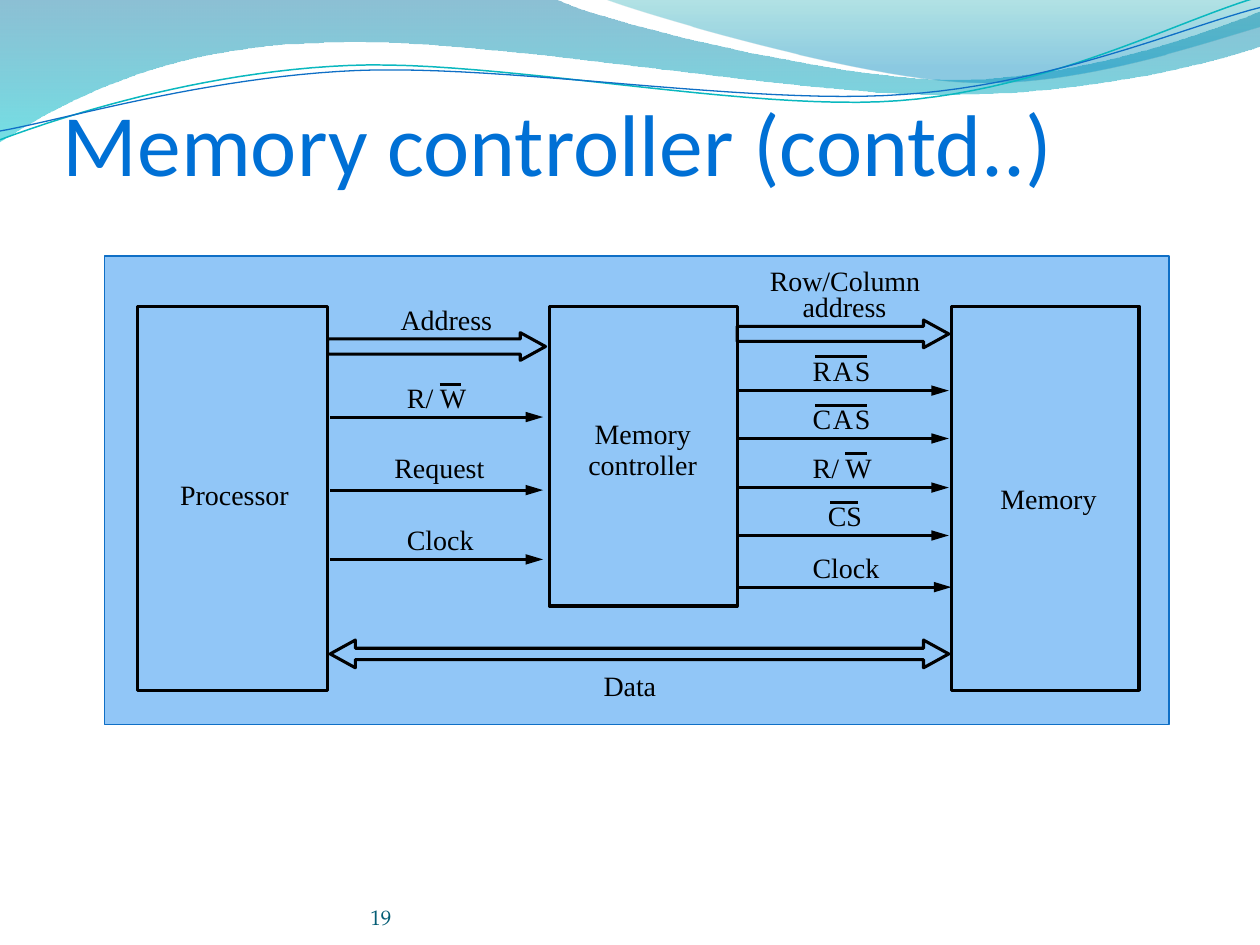
from lxml.etree import SubElement
from pptx import Presentation
from pptx.dml.color import RGBColor
from pptx.enum.shapes import MSO_CONNECTOR, MSO_SHAPE
from pptx.enum.text import MSO_ANCHOR
from pptx.oxml.ns import qn
from pptx.util import Inches, Pt

BLACK = RGBColor(0x00, 0x00, 0x00)
TITLE_BLUE = RGBColor(0x00, 0x70, 0xD5)
NUMBER_BLUE = RGBColor(0x04, 0x5D, 0x75)
PANEL_BLUE = RGBColor(0x91, 0xC6, 0xF7)
EDGE_BLUE = RGBColor(0x0F, 0x6F, 0xC6)
WAVE_TEAL = RGBColor(0x0A, 0xB8, 0xBF)
STROKE = 1.75
LABEL_HEIGHT = 0.27

# Filled waves: start, segments (2 numbers = line, 6 = cubic curve),
# gradient stops (position, colour, opacity %)
WAVES = [
    ((0, 0),
     [(4.4, -0.01), (4.76, 0.17, 6.64, 0.63, 7.58, 0.63),
      (8.53, 0.63, 9.58, 0.26, 10, 0.09), (10.01, 0.36),
      (9.83, 0.44, 8.7, 0.76, 7.46, 0.75), (6.22, 0.75, 3.82, 0.28, 2.57, 0.34),
      (1.29, 0.36, 0.46, 0.83, -0.01, 1.13)],
     [(0, RGBColor(0x00, 0x74, 0xA1), 45), (1, RGBColor(0x00, 0xC6, 0xCF), 55)]),
    ((4.79, -0.01),
     [(5.09, 0.11, 6.82, 0.62, 7.69, 0.65), (8.56, 0.69, 9.61, 0.32, 10, 0.21),
      (10, 0)],
     [(0, RGBColor(0x00, 0xA1, 0xA9), 30), (0.8, RGBColor(0x00, 0x8B, 0xBF), 45)]),
]
# Thin wave lines: start, segments, colour, width
WAVE_LINES = [
    ((0, 1.11),
     [(0.48, 0.93, 1.58, 0.57, 2.77, 0.52), (3.95, 0.47, 5.93, 0.89, 7.13, 0.8),
      (8.33, 0.71, 9.38, 0.15, 9.98, -0.02)], WAVE_TEAL, 0.85),
    ((0, 1.04),
     [(0.47, 0.96, 1.64, 0.61, 2.83, 0.56), (4.03, 0.51, 5.97, 0.84, 7.17, 0.75),
      (8.36, 0.67, 9.41, 0.21, 10, 0.06)], EDGE_BLUE, 0.75),
]

PANEL = (0.83, 2.03, 8.45, 3.72)
# Processor, memory, memory controller
UNITS = [(1.09, 2.43, 1.51, 3.05), (7.55, 2.43, 1.49, 3.05), (4.36, 2.43, 1.49, 2.38)]
# Buses: preset, left, top, width, shaft thickness
BUS_HEIGHT, BUS_HEAD = 0.22, 0.2
BUSES = [
    (MSO_SHAPE.RIGHT_ARROW, 2.6, 2.64, 1.73, 0.12),
    (MSO_SHAPE.RIGHT_ARROW, 5.85, 2.54, 1.68, 0.12),
    (MSO_SHAPE.LEFT_RIGHT_ARROW, 2.62, 5.08, 4.91, 0.09),
]
# Signal arrows: from x, to x, heights
SIGNALS = [
    (2.62, 4.31, [3.31, 3.89, 4.44]),
    (5.85, 7.53, [3.1, 3.48, 3.87, 4.25]),
    (5.85, 7.55, [4.66]),
]
# Labels: text, left, top, width, letter spacing in points
LABELS = [
    ("Processor", 1.43, 3.79, 0.9, 0),
    ("Memory", 4.72, 3.31, 0.8, 0),
    ("controller", 4.67, 3.55, 0.9, 0),
    ("Memory", 7.94, 3.82, 0.8, 0),
    ("Address", 3.18, 2.4, 0.76, 0),
    ("R/ W", 3.23, 3.02, 0.52, 0),
    ("Request", 3.13, 3.58, 0.75, 0),
    ("Clock", 3.23, 4.15, 0.57, 0),
    ("Row/Column", 6.11, 2.09, 1.23, 0),
    ("address", 6.37, 2.3, 0.7, 0),
    ("RAS", 6.45, 2.81, 0.52, 1),
    ("CAS", 6.45, 3.19, 0.52, 1),
    ("R/ W", 6.45, 3.58, 0.52, 0),
    ("CS", 6.57, 3.96, 0.35, 0),
    ("Clock", 6.45, 4.37, 0.57, 0),
    ("Data", 4.79, 5.31, 0.46, 0),
]
# Bars over active-low signals: from x, to x, y
OVERBARS = [(3.49, 3.66, 3.05), (6.47, 6.88, 2.83), (6.47, 6.88, 3.22),
            (6.71, 6.88, 3.6), (6.59, 6.81, 3.99)]

deck = Presentation()
deck.slide_width, deck.slide_height = Inches(10), Inches(7.5)
slide = deck.slides.add_slide(deck.slide_layouts[6])
shapes = slide.shapes


def trace(start, segments, steps=24):
    """Turn lines and cubic curves into a list of points."""
    points = [start]
    for segment in segments:
        if len(segment) == 2:
            points.append(segment)
            continue
        corners = [points[-1], segment[:2], segment[2:4], segment[4:]]
        for i in range(1, steps + 1):
            t = i / steps
            weights = ((1 - t) ** 3, 3 * t * (1 - t) ** 2, 3 * t * t * (1 - t), t ** 3)
            points.append(tuple(sum(w * c[axis] for w, c in zip(weights, corners))
                                for axis in (0, 1)))
    return points


def add_outline(start, segments, close):
    points = [(Inches(x), Inches(y)) for x, y in trace(start, segments)]
    builder = shapes.build_freeform(*points[0])
    builder.add_line_segments(points[1:], close=close)
    outline = builder.convert_to_shape()
    outline.shadow.inherit = False
    return outline


def set_line(shape, color=BLACK, width=STROKE):
    shape.line.color.rgb = color
    shape.line.width = Pt(width)


def add_preset(preset, left, top, width, height):
    shape = shapes.add_shape(preset, *map(Inches, (left, top, width, height)))
    shape.shadow.inherit = False
    shape.fill.background()
    set_line(shape)
    return shape


def add_stroke(x1, x2, y, arrow=False):
    stroke = shapes.add_connector(MSO_CONNECTOR.STRAIGHT, *map(Inches, (x1, y, x2, y)))
    set_line(stroke)
    if arrow:
        SubElement(stroke.line._get_or_add_ln(), qn("a:tailEnd"),
                   type="triangle", w="med", len="lg")
    SubElement(stroke._element.spPr, qn("a:effectLst"))


def add_text(text, box, size, font, color, margins=(0, 0, 0, 0),
             anchor=MSO_ANCHOR.TOP, wrap=True, spacing=0):
    frame = shapes.add_textbox(*map(Inches, box)).text_frame
    frame.word_wrap = wrap
    frame.vertical_anchor = anchor
    (frame.margin_left, frame.margin_top,
     frame.margin_right, frame.margin_bottom) = map(Inches, margins)
    run = frame.paragraphs[0].add_run()
    run.text = text
    run.font.size = Pt(size)
    run.font.name = font
    run.font.color.rgb = color
    if spacing:
        run.font._element.set("spc", str(spacing * 100))


# Wave decoration
for start, segments, stops in WAVES:
    wave = add_outline(start, segments, True)
    wave.line.fill.background()
    wave.fill.gradient()
    wave.fill.gradient_angle = 270
    for stop, (position, color, opacity) in zip(wave.fill.gradient_stops, stops):
        stop.position = position
        stop.color.rgb = color
    for (_, _, opacity), node in zip(stops, wave._element.spPr.iter(qn("a:srgbClr"))):
        SubElement(node, qn("a:alpha"), val=str(opacity * 1000))
for start, segments, color, width in WAVE_LINES:
    wave_line = add_outline(start, segments, False)
    wave_line.fill.background()
    set_line(wave_line, color, width)

# Title and slide number
add_text("Memory controller (contd..)", (0.5, 0.17, 9, 1.37), 50, "Calibri",
         TITLE_BLUE, (0, 0.05, 0, 0), MSO_ANCHOR.BOTTOM)
add_text("19", (2.89, 7.08, 6.02, 0.3), 12, "TeX Gyre Pagella",
         NUMBER_BLUE, (0.05, 0, 0.05, 0), MSO_ANCHOR.BOTTOM)

# Diagram panel, units and connections
panel = add_preset(MSO_SHAPE.RECTANGLE, *PANEL)
panel.fill.solid()
panel.fill.fore_color.rgb = PANEL_BLUE
set_line(panel, EDGE_BLUE, 1)
for preset, left, top, width, shaft in BUSES:
    bus = add_preset(preset, left, top, width, BUS_HEIGHT)
    bus.adjustments[0] = shaft / BUS_HEIGHT
    bus.adjustments[1] = BUS_HEAD / BUS_HEIGHT
for x1, x2, heights in SIGNALS:
    for y in heights:
        add_stroke(x1, x2, y, arrow=True)
for unit in UNITS:
    add_preset(MSO_SHAPE.RECTANGLE, *unit)

# Labels and overbars
for text, left, top, width, spacing in LABELS:
    add_text(text, (left, top, width, LABEL_HEIGHT), 16, "Times New Roman", BLACK,
             wrap=False, spacing=spacing)
for overbar in OVERBARS:
    add_stroke(*overbar)

deck.save("out.pptx")
